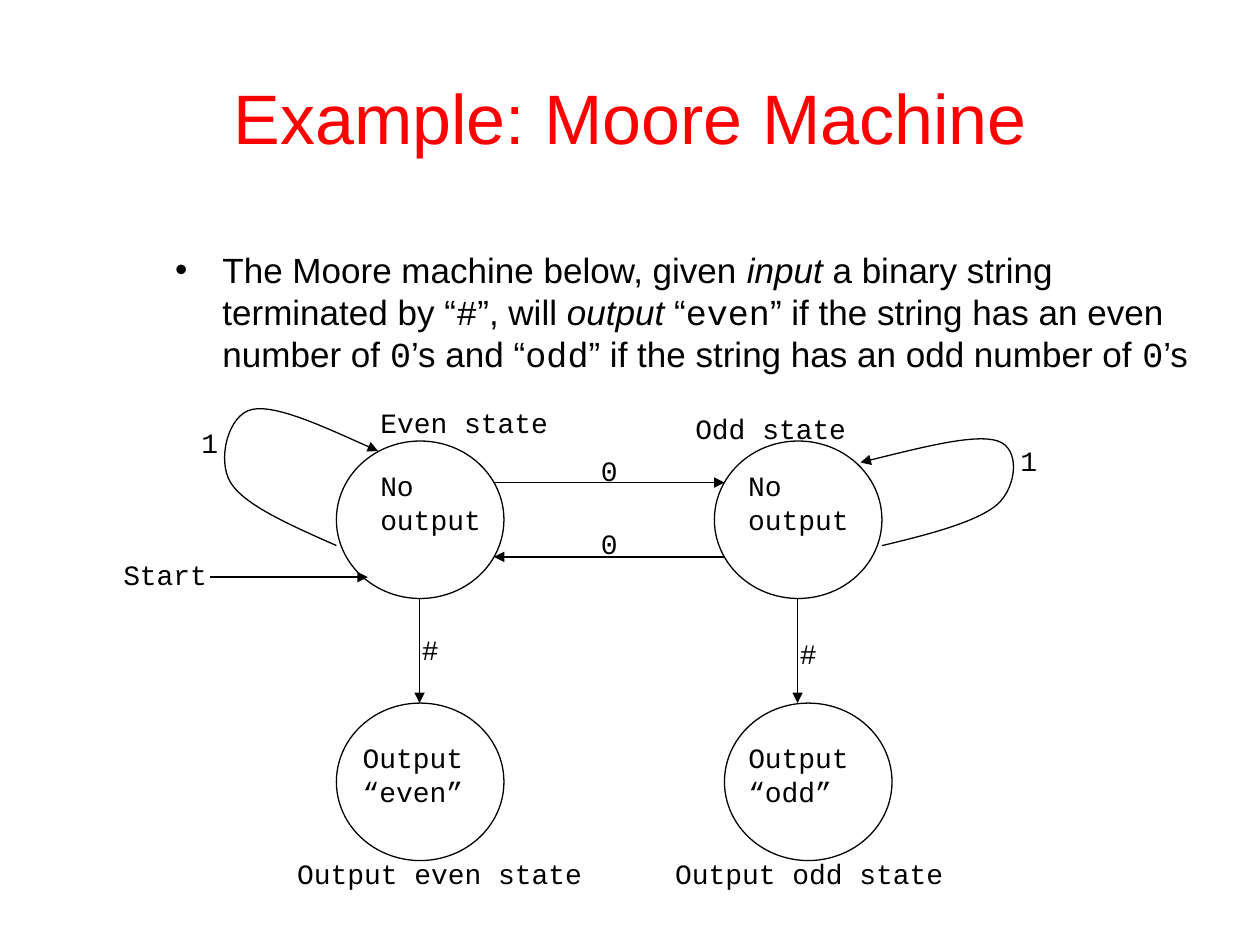
from lxml import etree
from pptx import Presentation
from pptx import util as u
from pptx.dml.color import RGBColor
from pptx.enum import shapes as sh, text as tx
from pptx.oxml import ns

INK = {"title": "FF0000", "line": "000000", "text": "000000"}
SANS, MONO = "Arial", "Courier New"
LEFT, RIGHT = 2.67, 5.67
TOP, LOW = 3.5, 5.58
WIDE, HIGH = 1.33, 1.25

CLAIM = [
    ("The Moore machine below, given ", {}),
    ("input ", {"slant": True}),
    ("a binary string terminated by “", {}),
    ("#", {"font": MONO}),
    ("”, will ", {}),
    ("output", {"slant": True}),
    (" “", {}),
    ("even", {"font": MONO}),
    ("” if the string has an even number of ", {}),
    ("0", {"font": MONO}),
    ("’s and “", {}),
    ("odd", {"font": MONO}),
    ("” if the string has an odd number of ", {}),
    ("0", {"font": MONO}),
    ("’s", {}),
]
STATES = [(LEFT, TOP), (RIGHT, TOP), (LEFT, LOW), (5.75, LOW)]
ARROWS = [
    (3.92, 3.83, 5.75, 3.83),
    (5.75, 4.42, 3.92, 4.42),
    (3.33, TOP + HIGH, 3.33, LOW),
    (6.33, TOP + HIGH, 6.33, LOW),
    (1.67, 4.58, 2.92, 4.58),
]
LOOPS = [
    [(2.67, 4.33), (2.31, 4.17), (1.94, 4.01), (1.83, 3.83), (1.72, 3.65),
     (1.81, 3.29), (2, 3.25), (2.19, 3.21), (2.6, 3.4), (3, 3.58)],
    [(7, 4.33), (7.38, 4.24), (7.76, 4.14), (7.92, 4), (8.07, 3.86),
     (8.1, 3.56), (7.92, 3.5), (7.74, 3.44), (7.28, 3.56), (6.83, 3.67)],
]
LABELS = [
    (2.92, 3.17, "Even state"), (5.42, 3.22, "Odd state"),
    (2.26, 6.75, "Output even state"), (5.26, 6.75, "Output odd state"),
    (2.92, 3.67, "No\noutput"), (5.84, 3.67, "No\noutput"),
    (2.78, 5.83, "Output\n“even”"), (5.84, 5.83, "Output\n“odd”"),
    (4.67, 3.55, "0"), (4.67, 4.13, "0"),
    (8, 3.47, "1"), (1.5, 3.33, "1"),
    (3.25, 4.97, "#"), (6.25, 5, "#"),
    (0.88, 4.38, "Start"),
]


def write(para, words, size=16, font=SANS, ink="text", slant=False):
    """Add one formatted run to a paragraph."""
    run = para.add_run()
    run.text = words
    run.font.size = u.Pt(size)
    run.font.name = font
    run.font.italic = slant
    run.font.color.rgb = RGBColor.from_string(INK[ink])


def place(shape, *box):
    """Move a shape to left, top, width, height in inches."""
    shape.left, shape.top, shape.width, shape.height = map(u.Inches, box)


def stroke(shape, head=False):
    """Give a shape the diagram's thin line, with an arrowhead on request."""
    shape.line.color.rgb = RGBColor.from_string(INK["line"])
    shape.line.width = u.Pt(0.75)
    if head:
        line = shape.line._get_or_add_ln()
        etree.SubElement(line, ns.qn("a:tailEnd"), type="triangle")


def state(slide, left, top):
    """Draw a state as an open ellipse."""
    oval = slide.shapes.add_shape(
        sh.MSO_SHAPE.OVAL, *map(u.Inches, (left, top, WIDE, HIGH)))
    oval.shadow.inherit = False
    oval.fill.background()
    stroke(oval)


def arrow(slide, *ends):
    """Draw a straight arrow between two points."""
    link = slide.shapes.add_connector(
        sh.MSO_CONNECTOR.STRAIGHT, *map(u.Inches, ends))
    stroke(link, head=True)
    etree.SubElement(link._element.spPr, ns.qn("a:effectLst"))


def loop(slide, points):
    """Draw a curved arrow through a start and triples of Bézier points."""
    start, *rest = [(u.Inches(x), u.Inches(y)) for x, y in points]
    pen = slide.shapes.build_freeform(*start)
    pen.add_line_segments(rest, close=False)
    curve = pen.convert_to_shape()
    curve.shadow.inherit = False
    curve.fill.background()
    stroke(curve, head=True)
    steps = list(curve._element.iter(ns.qn("a:lnTo")))
    trail = steps[0].getparent()
    for i in range(0, len(steps), 3):
        bend = etree.SubElement(trail, ns.qn("a:cubicBezTo"))
        for step in steps[i:i + 3]:
            bend.append(step[0])
            trail.remove(step)


def label(slide, left, top, words):
    """Add a monospaced label sized by its rows and columns."""
    rows = words.split("\n")
    cols = max(map(len, rows)) + ("“" in words)
    size = (0.2 + cols * 16 / 120, 0.1 + 0.27 * len(rows))
    box = slide.shapes.add_textbox(*map(u.Inches, (left, top, *size)))
    frame = box.text_frame
    frame.word_wrap = False
    frame.auto_size = tx.MSO_AUTO_SIZE.SHAPE_TO_FIT_TEXT
    for i, row in enumerate(rows):
        para = frame.add_paragraph() if i else frame.paragraphs[0]
        write(para, row, font=MONO)


def head(slide):
    """Fill the title and body placeholders."""
    title, body = slide.placeholders
    place(title, 0.5, 0.3, 9, 1.25)
    write(title.text_frame.paragraphs[0], "Example: Moore Machine",
          size=40, ink="title")
    place(body, 1.29, 1.92, 8.5, 4.5)
    body.text_frame.auto_size = tx.MSO_AUTO_SIZE.NONE
    para = body.text_frame.paragraphs[0]
    para.space_before = u.Pt(5)
    for words, form in CLAIM:
        write(para, words, size=20, **form)


def main():
    """Build and save the slide."""
    deck = Presentation()
    deck.slide_width, deck.slide_height = u.Inches(10), u.Inches(7.5)
    slide = deck.slides.add_slide(deck.slide_layouts[1])
    head(slide)
    for spot in STATES:
        state(slide, *spot)
    for ends in ARROWS:
        arrow(slide, *ends)
    for points in LOOPS:
        loop(slide, points)
    for item in LABELS:
        label(slide, *item)
    deck.save("out.pptx")


if __name__ == "__main__":
    main()
